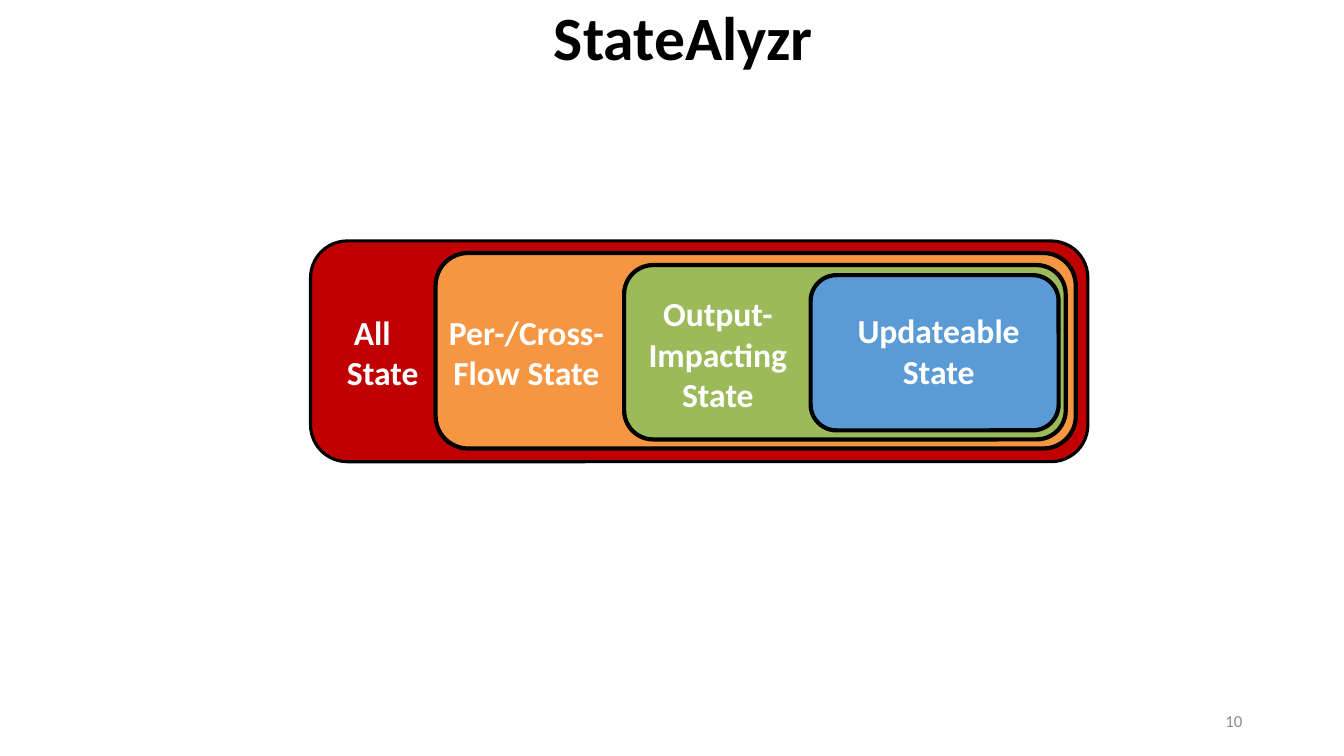
import pptx
import pptx.dml.color
import pptx.enum.shapes
import pptx.enum.text
import pptx.util

BLACK = pptx.dml.color.RGBColor(0x00, 0x00, 0x00)
WHITE = pptx.dml.color.RGBColor(0xFF, 0xFF, 0xFF)
GRAY = pptx.dml.color.RGBColor(0x8C, 0x8C, 0x8C)
RED = pptx.dml.color.RGBColor(0xC0, 0x00, 0x00)
ORANGE = pptx.dml.color.RGBColor(0xF7, 0x96, 0x42)
GREEN = pptx.dml.color.RGBColor(0x9C, 0xBA, 0x5A)
BLUE = pptx.dml.color.RGBColor(0x5B, 0x9B, 0xD5)

CENTER = pptx.enum.text.PP_ALIGN.CENTER
RIGHT = pptx.enum.text.PP_ALIGN.RIGHT
TOP = pptx.enum.text.MSO_ANCHOR.TOP
MIDDLE = pptx.enum.text.MSO_ANCHOR.MIDDLE
PIXEL = 9144


class SlidePainter:
    """Draws styled elements on the current slide, measured in px of 1/100 inch."""

    def __init__(self, deck):
        self.page = deck.slides.add_slide(deck.slide_layouts[5])
        self.font = "Calibri"

    def scale(self, bounds):
        return [pptx.util.Emu(length * PIXEL) for length in bounds]

    def set_text(self, box, lines, size, color, bold=True, anchor=TOP, spacing=1.0):
        frame = box.text_frame
        frame_format = {
            "word_wrap": True,
            "auto_size": pptx.enum.text.MSO_AUTO_SIZE.NONE,
            "vertical_anchor": anchor,
        }
        for name, value in frame_format.items():
            setattr(frame, name, value)
        font_format = {"name": self.font, "size": pptx.util.Pt(size), "bold": bold}
        for index, (text, alignment) in enumerate(lines):
            para = frame.add_paragraph() if index else frame.paragraphs[0]
            para.text = text
            para.alignment = alignment
            para.line_spacing = spacing
            for span in para.runs:
                for name, value in font_format.items():
                    setattr(span.font, name, value)
                span.font.color.rgb = color

    def title(self, bounds, text):
        box = self.page.shapes.title
        for name, value in zip(("left", "top", "width", "height"), self.scale(bounds)):
            setattr(box, name, value)
        self.set_text(box, [(text, CENTER)], 44, BLACK, anchor=MIDDLE, spacing=0.9)

    def label(self, bounds, lines, size=24, color=WHITE, **text_format):
        box = self.page.shapes.add_textbox(*self.scale(bounds))
        self.set_text(box, lines, size, color, **text_format)

    def rounded_box(self, bounds, fill, line_width):
        kind = pptx.enum.shapes.MSO_SHAPE.ROUNDED_RECTANGLE
        box = self.page.shapes.add_shape(kind, *self.scale(bounds))
        box.shadow.inherit = False
        box.fill.solid()
        box.fill.fore_color.rgb = fill
        box.line.color.rgb = BLACK
        box.line.width = pptx.util.Pt(line_width)


def main():
    deck = pptx.Presentation()
    deck.slide_width = pptx.util.Emu(1333 * PIXEL)
    deck.slide_height = pptx.util.Emu(750 * PIXEL)
    painter = SlidePainter(deck)
    painter.title((103, -34, 1150, 148), "StateAlyzr")
    painter.label((942, 695, 300, 40), [("10", RIGHT)], 12, GRAY, bold=False, anchor=MIDDLE)

    nested_states = [
        ((308, 239, 771, 219), RED, 2.25,
         (321, 304, 104, 91), [("All ", CENTER), ("State", RIGHT)]),
        ((432, 251, 635, 194), ORANGE, 3,
         (429, 304, 186, 91), [("Per-/Cross- Flow State", CENTER)]),
        ((619, 263, 438, 173), GREEN, 3,
         (619, 286, 186, 131), [("Output- Impacting State", CENTER)]),
        ((804, 273, 246, 154), BLUE, 3,
         (838, 303, 186, 91), [("Updateable\vState", CENTER)]),
    ]
    for box_bounds, fill, line_width, label_bounds, lines in nested_states:
        painter.rounded_box(box_bounds, fill, line_width)
        painter.label(label_bounds, lines)
    deck.save("out.pptx")


if __name__ == "__main__":
    main()
